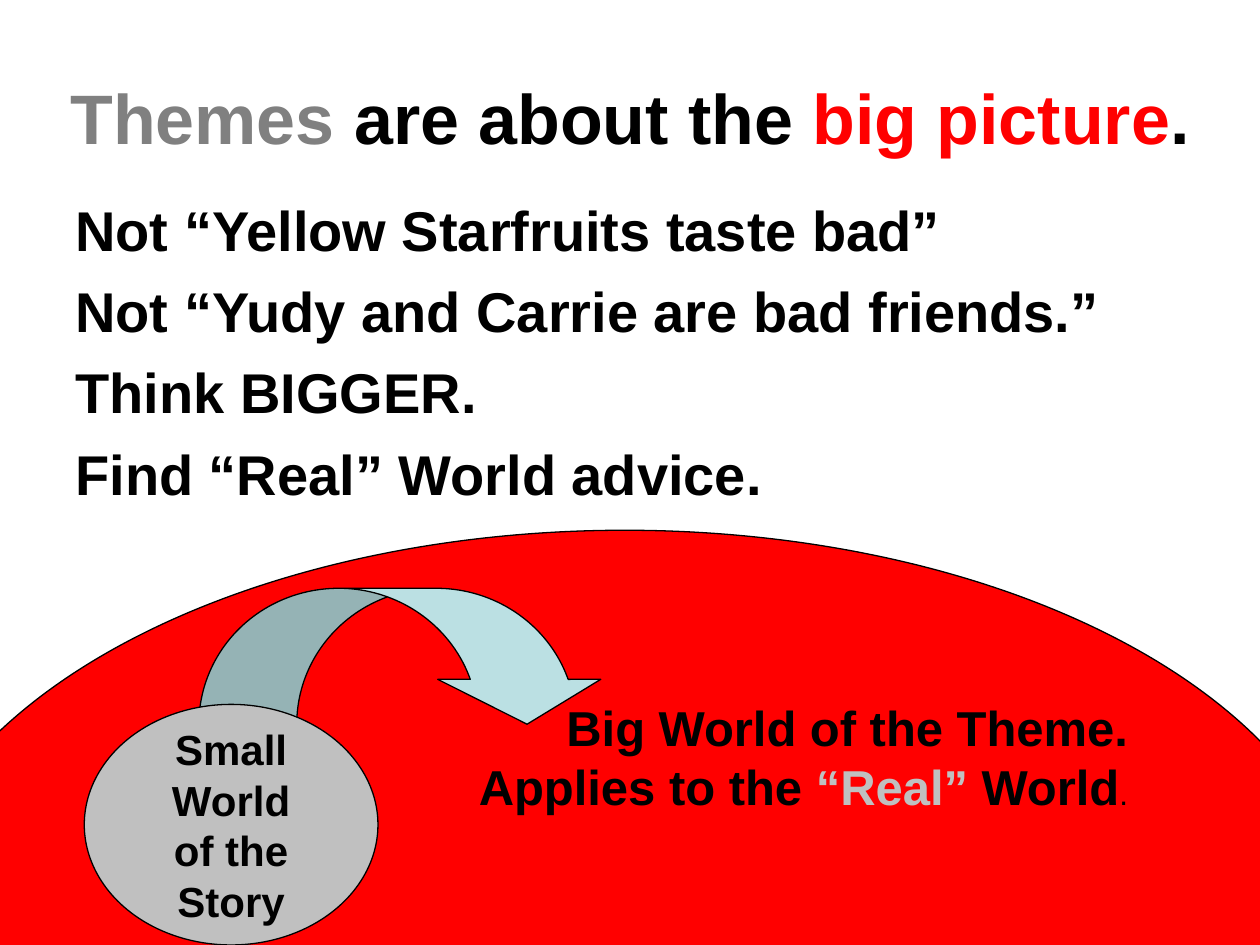
from pptx import Presentation
from pptx.dml.color import RGBColor
from pptx.enum import shapes, text
from pptx.util import Cm, Pt

BLACK = RGBColor(0x00, 0x00, 0x00)
WHITE = RGBColor(0xFF, 0xFF, 0xFF)
RED = RGBColor(0xFF, 0x00, 0x00)
GREY = RGBColor(0x80, 0x80, 0x80)
SILVER = RGBColor(0xC0, 0xC0, 0xC0)
PALE_BLUE = RGBColor(0xBB, 0xE0, 0xE3)

TITLE = [[("Themes", {"color": GREY}), " are about the ",
          ("big picture", {"color": RED}), "."]]
ADVICE = [
    ["Not “Yellow Starfruits taste bad”"],
    ["Not “Yudy and Carrie are bad friends.”"],
    ["Think BIGGER."],
    ["Find “Real” World advice."],
]
BIG_WORLD = [
    ["Big World of the Theme."],
    ["Applies to the ", ("“Real” ", {"color": SILVER}), "World",
     (".", {"size": 18, "bold": False})],
]
SMALL_WORLD = [["Small"], ["World"], ["of the"], ["Story"]]


def write(s, paragraphs, size, align, anchor=text.MSO_ANCHOR.MIDDLE,
          before=0, top=0.13, wrap=True):
    tf = s.text_frame
    tf.word_wrap = wrap
    tf.auto_size = text.MSO_AUTO_SIZE.NONE
    tf.vertical_anchor = anchor
    tf.margin_left = tf.margin_right = Cm(0.25)
    tf.margin_top, tf.margin_bottom = Cm(top), Cm(0.13)
    for i, runs in enumerate(paragraphs):
        p = tf.add_paragraph() if i else tf.paragraphs[0]
        p.alignment = align
        p.space_before = Pt(before)
        p.line_spacing = 1.0
        for run in runs:
            words, fmt = (run, {}) if isinstance(run, str) else run
            r = p.add_run()
            r.text = words
            r.font.name = "Arial"
            r.font.size = Pt(fmt.get("size", size))
            r.font.bold = fmt.get("bold", True)
            r.font.color.rgb = fmt.get("color", BLACK)


def add_outlined(s, kind, box, fill):
    sp = s.shapes.add_shape(kind, *map(Cm, box))
    sp.shadow.inherit = False
    sp.fill.solid()
    sp.fill.fore_color.rgb = fill
    sp.line.color.rgb = BLACK
    sp.line.width = Pt(0.75)
    return sp


def main():
    prs = Presentation()
    prs.slide_width, prs.slide_height = Cm(25.4), Cm(19.05)
    s = prs.slides.add_slide(prs.slide_layouts[5])
    s.background.fill.solid()
    s.background.fill.fore_color.rgb = WHITE

    title = s.shapes.title
    title.left, title.top, title.width, title.height = map(
        Cm, (0.85, 0.76, 23.7, 3.18))
    write(title, TITLE, 40, text.PP_ALIGN.CENTER)

    advice = s.shapes.add_textbox(*map(Cm, (1.27, 3.81, 22.86, 12.57)))
    write(advice, ADVICE, 32, text.PP_ALIGN.LEFT,
          anchor=text.MSO_ANCHOR.TOP, before=8)

    ellipse = shapes.MSO_SHAPE.OVAL
    big = add_outlined(s, ellipse, (-2.11, 10.69, 29.41, 16.71), RED)
    write(big, BIG_WORLD, 28, text.PP_ALIGN.RIGHT,
          anchor=text.MSO_ANCHOR.TOP, top=0.92)

    arrow = add_outlined(s, shapes.MSO_SHAPE.CURVED_DOWN_ARROW,
                         (4.01, 11.86, 8.26, 2.74), PALE_BLUE)
    for i, ratio in enumerate((0.72, 1.2, 0.33)):
        arrow.adjustments[i] = ratio

    small = add_outlined(s, ellipse, (1.7, 14.2, 5.92, 4.85), SILVER)
    write(small, SMALL_WORLD, 24, text.PP_ALIGN.CENTER, wrap=False)

    prs.save("out.pptx")


if __name__ == "__main__":
    main()
